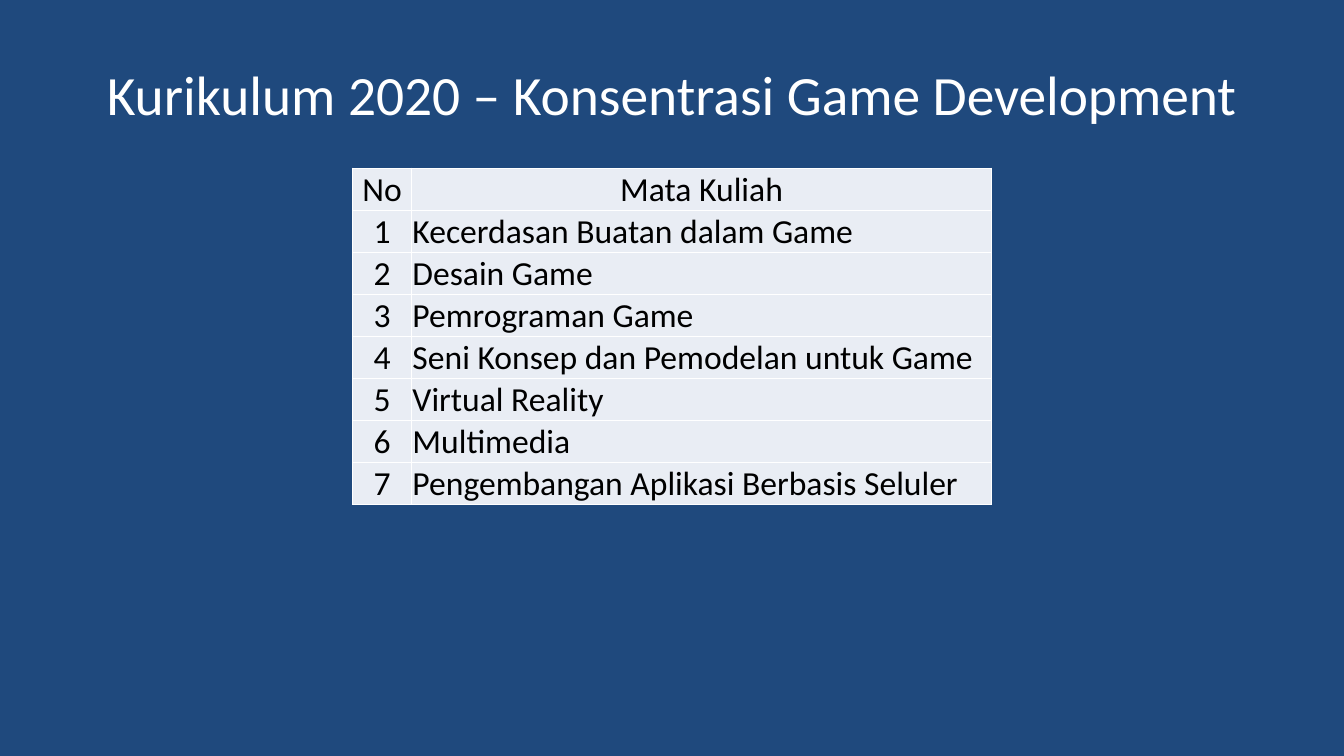
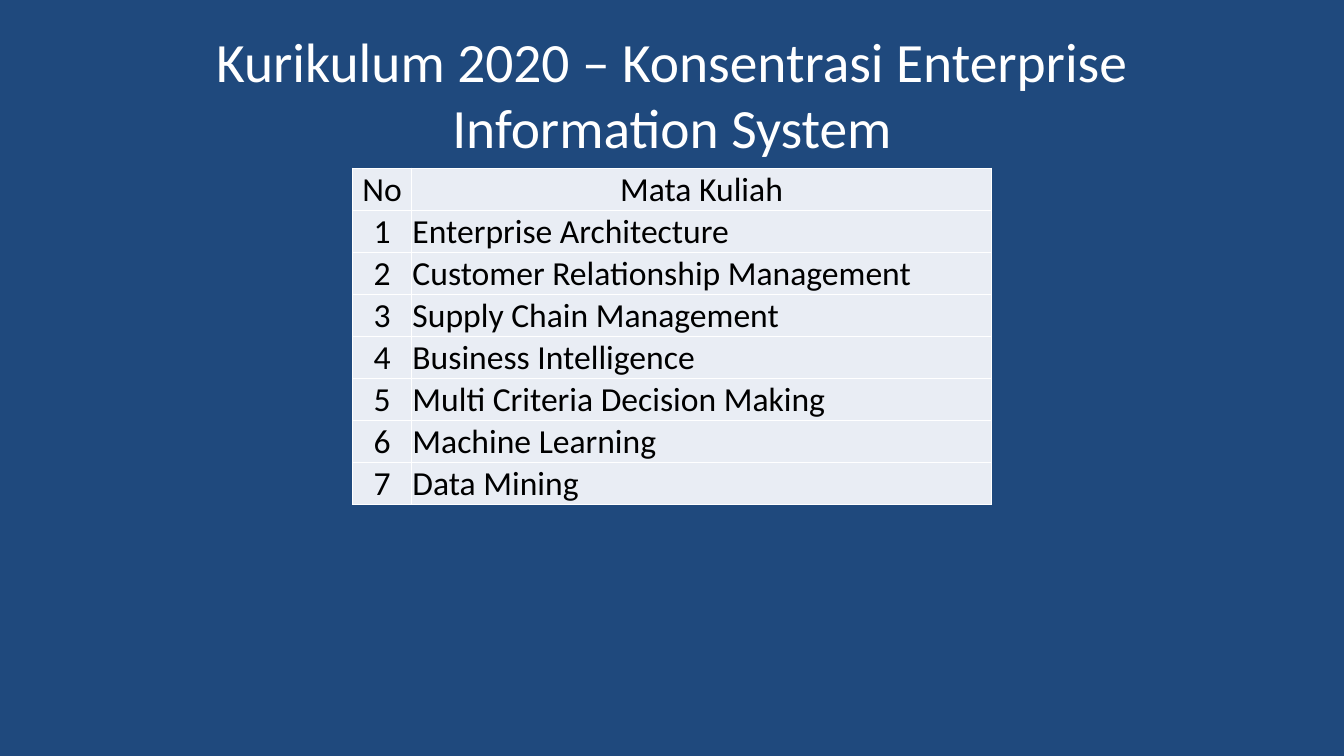
"""Build two slides that list the courses of the 2020 curriculum concentrations."""
from lxml import etree
from pptx import Presentation
from pptx.dml.color import RGBColor
from pptx.enum import text
from pptx.oxml import ns
from pptx.util import Cm, Pt

NAVY = RGBColor(0x1F, 0x49, 0x7D)
PALE = RGBColor(0xE9, 0xED, 0xF4)
WHITE = RGBColor(255, 255, 255)
BLACK = RGBColor(0, 0, 0)
FONT = "Calibri"

HEADER = ("No", "Mata Kuliah")
CONCENTRATIONS = {
    "Game Development": [
        "Kecerdasan Buatan dalam Game",
        "Desain Game",
        "Pemrograman Game",
        "Seni Konsep dan Pemodelan untuk Game",
        "Virtual Reality",
        "Multimedia",
        "Pengembangan Aplikasi Berbasis Seluler",
    ],
    "Enterprise Information System": [
        "Enterprise Architecture",
        "Customer Relationship Management",
        "Supply Chain Management",
        "Business Intelligence",
        "Multi Criteria Decision Making",
        "Machine Learning",
        "Data Mining",
    ],
}

SLIDE_W, SLIDE_H = Cm(33.87), Cm(19.05)
TITLE_W = Cm(30.48)
COL_WIDTHS = (Cm(1.49), Cm(14.61))
TABLE_TOP, ROW_H = Cm(4.24), Cm(1.06)
INSET = Cm(0.02)


def write(tf, content, size, color, align):
    p = tf.paragraphs[0]
    p.alignment = align
    r = p.add_run()
    r.text = content
    r.font.name = FONT
    r.font.size = Pt(size)
    r.font.color.rgb = color


def add_borders(cell):
    tc_pr = cell._tc.get_or_add_tcPr()
    for side in ("lnL", "lnR", "lnT", "lnB"):
        ln = etree.SubElement(tc_pr, ns.qn(f"a:{side}"), w=str(Pt(1)))
        fill = etree.SubElement(ln, ns.qn("a:solidFill"))
        etree.SubElement(fill, ns.qn("a:srgbClr"), val=str(WHITE))


def add_course_table(s, courses):
    rows = [HEADER] + [(str(n), c) for n, c in enumerate(courses, 1)]
    width = sum(COL_WIDTHS)
    tbl = s.shapes.add_table(len(rows), len(HEADER), (SLIDE_W - width) // 2,
                             TABLE_TOP, width, ROW_H * len(rows)).table
    tbl.first_row = tbl.horz_banding = False
    for col, col_width in zip(tbl.columns, COL_WIDTHS):
        col.width = col_width
    for i, row in enumerate(rows):
        for j, content in enumerate(row):
            cell = tbl.cell(i, j)
            add_borders(cell)
            cell.fill.solid()
            cell.fill.fore_color.rgb = PALE
            cell.vertical_anchor = text.MSO_ANCHOR.MIDDLE
            cell.margin_left = cell.margin_right = cell.margin_top = INSET
            cell.margin_bottom = 0
            centred = i == 0 or j == 0
            write(cell.text_frame, content, 24, BLACK,
                  text.PP_ALIGN.CENTER if centred else text.PP_ALIGN.LEFT)


def set_up_layout(prs):
    bg = prs.slide_master.background.fill
    bg.solid()
    bg.fore_color.rgb = NAVY
    layout = prs.slide_layouts.get_by_name("Title Only")
    title = layout.placeholders[0]
    title.left, title.top = (SLIDE_W - TITLE_W) // 2, Cm(0.76)
    title.width, title.height = TITLE_W, Cm(3.18)
    title.text_frame.vertical_anchor = text.MSO_ANCHOR.MIDDLE
    title.text_frame.auto_size = text.MSO_AUTO_SIZE.NONE
    return layout


def main():
    prs = Presentation()
    prs.slide_width, prs.slide_height = SLIDE_W, SLIDE_H
    layout = set_up_layout(prs)
    for name, courses in CONCENTRATIONS.items():
        s = prs.slides.add_slide(layout)
        write(s.shapes.title.text_frame, f"Kurikulum 2020 – Konsentrasi {name}",
              39.6, WHITE, text.PP_ALIGN.CENTER)
        add_course_table(s, courses)
    prs.save("out.pptx")


if __name__ == "__main__":
    main()
